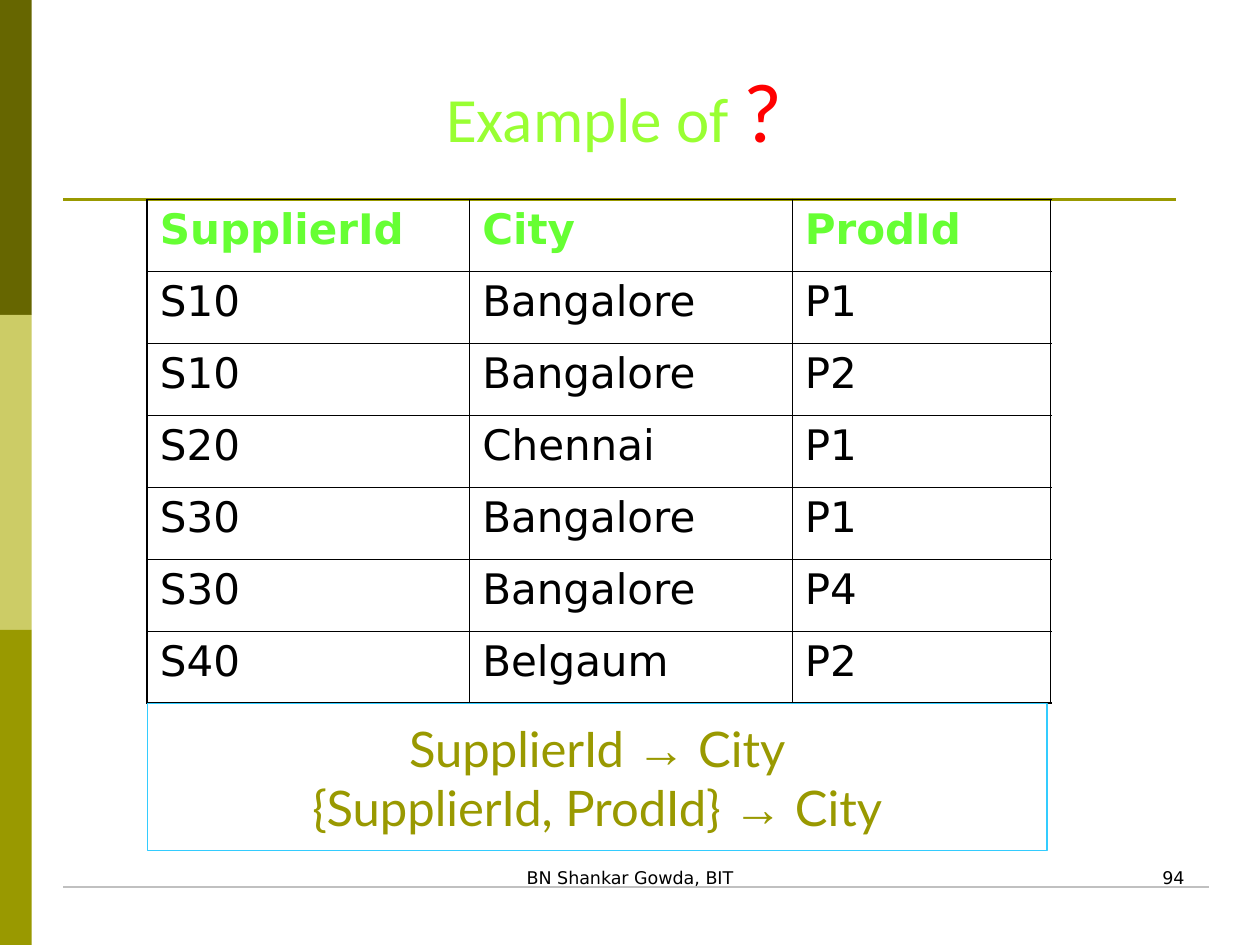
import dataclasses

import pptx
import pptx.dml.color
import pptx.enum.shapes
import pptx.enum.text
import pptx.oxml
import pptx.oxml.ns
import pptx.util

Cm = pptx.util.Cm
Pt = pptx.util.Pt
ALIGN = pptx.enum.text.PP_ALIGN
ANCHOR = pptx.enum.text.MSO_ANCHOR


@dataclasses.dataclass(frozen=True)
class Theme:
    dark_olive: str = "666600"
    pale_olive: str = "CCCC66"
    olive: str = "999900"
    silver: str = "C0C0C0"
    sky: str = "33CCFF"
    lime: str = "99FF33"
    green: str = "66FF33"
    red: str = "FF0000"
    black: str = "000000"
    footer_size: int = 10
    cell_size: int = 24
    rule_size: int = 28
    title_size: int = 36
    mark_size: int = 48
    thin: float = 0.45
    thick: float = 1.08


THEME = Theme()

SUPPLIES = [
    ("SupplierId", "City", "ProdId"),
    ("S10", "Bangalore", "P1"),
    ("S10", "Bangalore", "P2"),
    ("S20", "Chennai", "P1"),
    ("S30", "Bangalore", "P1"),
    ("S30", "Bangalore", "P4"),
    ("S40", "Belgaum", "P2"),
]
DETERMINANTS = ["SupplierId", "{SupplierId, ProdId}"]


def rgb(value):
    return pptx.dml.color.RGBColor.from_string(value)


def apply(target, values):
    for name, value in values.items():
        setattr(target, name, value)


def add_run(paragraph, text, name, size, color, bold=False):
    run = paragraph.add_run()
    run.text = text
    apply(run.font, {"name": name, "size": Pt(size), "bold": bold})
    run.font.color.rgb = rgb(color)


def add_bar(slide, top, height, color):
    bar = slide.shapes.add_shape(
        pptx.enum.shapes.MSO_SHAPE.RECTANGLE, 0, top, Cm(0.64), height)
    bar.shadow.inherit = False
    bar.fill.solid()
    bar.fill.fore_color.rgb = rgb(color)
    bar.line.fill.background()


def add_rule(slide, left, right, y, color, width):
    rule = slide.shapes.add_connector(
        pptx.enum.shapes.MSO_CONNECTOR.STRAIGHT, left, y, right, y)
    rule.line.color.rgb = rgb(color)
    rule.line.width = Pt(width)
    rule._element.spPr.append(pptx.oxml.parse_xml(
        f"<a:effectLst {pptx.oxml.ns.nsdecls('a')}/>"))


def add_footer(slide, left, width, text, alignment):
    footer = slide.shapes.add_textbox(left, Cm(17.36), width, Cm(1.27))
    footer.text_frame.word_wrap = True
    paragraph = footer.text_frame.paragraphs[0]
    paragraph.alignment = alignment
    add_run(paragraph, text, "DejaVu Sans", THEME.footer_size, THEME.black)


def fill_title(slide):
    title = slide.shapes.title
    apply(title, {"left": Cm(1.69), "top": Cm(1.06),
                  "width": Cm(21.38), "height": Cm(2.33)})
    apply(title.text_frame, {"vertical_anchor": ANCHOR.TOP, "word_wrap": True,
                             "auto_size": pptx.enum.text.MSO_AUTO_SIZE.NONE})
    paragraph = title.text_frame.paragraphs[0]
    paragraph.alignment = ALIGN.CENTER
    add_run(paragraph, "Example of ", "Calibri", THEME.title_size, THEME.lime)
    add_run(paragraph, "?", "Calibri", THEME.mark_size, THEME.red)


def set_borders(cell, outer_sides):
    properties = cell._tc.get_or_add_tcPr()
    for side in "LRTB":
        width = Pt(THEME.thick if side in outer_sides else THEME.thin)
        properties.append(pptx.oxml.parse_xml(
            f'<a:ln{side} {pptx.oxml.ns.nsdecls("a")} w="{width}"><a:solidFill>'
            f'<a:srgbClr val="{THEME.black}"/></a:solidFill></a:ln{side}>'))


def add_supply_table(slide):
    column_widths = [Cm(6.5), Cm(6.5), Cm(5.21)]
    row_height = Cm(1.45)
    last_row, last_column = len(SUPPLIES) - 1, len(column_widths) - 1
    table = slide.shapes.add_table(
        len(SUPPLIES), len(column_widths), Cm(2.97), Cm(4.02),
        sum(column_widths), row_height * len(SUPPLIES)).table
    apply(table, {"first_row": False, "horz_banding": False})
    for column, width in zip(table.columns, column_widths):
        column.width = width
    for r, record in enumerate(SUPPLIES):
        table.rows[r].height = row_height
        header = r == 0
        for c, value in enumerate(record):
            cell = table.cell(r, c)
            edges = {"L": c == 0, "R": c == last_column,
                     "T": header, "B": r == last_row}
            set_borders(cell, [side for side, outer in edges.items() if outer])
            cell.fill.background()
            add_run(cell.text_frame.paragraphs[0], value, "DejaVu Sans",
                    THEME.cell_size, THEME.green if header else THEME.black, header)


def add_dependencies(slide):
    box = slide.shapes.add_shape(
        pptx.enum.shapes.MSO_SHAPE.RECTANGLE,
        Cm(2.97), Cm(14.18), Cm(18.14), Cm(2.97))
    box.shadow.inherit = False
    box.fill.background()
    box.line.color.rgb = rgb(THEME.sky)
    box.line.width = Pt(0.75)
    frame = box.text_frame
    apply(frame, {"word_wrap": False, "vertical_anchor": ANCHOR.MIDDLE})
    for i, determinant in enumerate(DETERMINANTS):
        paragraph = frame.add_paragraph() if i else frame.paragraphs[0]
        paragraph.alignment = ALIGN.CENTER
        for text, font in ((determinant + " ", "Lato"), ("→", "Arial"), (" City", "Lato")):
            add_run(paragraph, text, font, THEME.rule_size, THEME.olive)


def main():
    deck = pptx.Presentation()
    apply(deck, {"slide_width": Cm(25.4), "slide_height": Cm(19.05)})
    slide = deck.slides.add_slide(deck.slide_layouts.get_by_name("Title Only"))

    # Side band in three equal parts
    bar_height = Cm(6.35)
    for i, color in enumerate((THEME.dark_olive, THEME.pale_olive, THEME.olive)):
        add_bar(slide, bar_height * i, bar_height, color)

    # Rules under the title and at the footer
    add_rule(slide, Cm(1.27), Cm(23.7), Cm(4.02), THEME.olive, 1.5)
    add_rule(slide, Cm(1.27), Cm(24.38), Cm(17.88), THEME.silver, 0.75)

    # Footer
    add_footer(slide, Cm(8.68), Cm(8.04), "BN Shankar Gowda, BIT", ALIGN.CENTER)
    add_footer(slide, Cm(18.2), Cm(5.93), "94", ALIGN.RIGHT)

    # Title, table and its functional dependencies
    fill_title(slide)
    add_supply_table(slide)
    add_dependencies(slide)

    deck.save("out.pptx")


if __name__ == "__main__":
    main()
